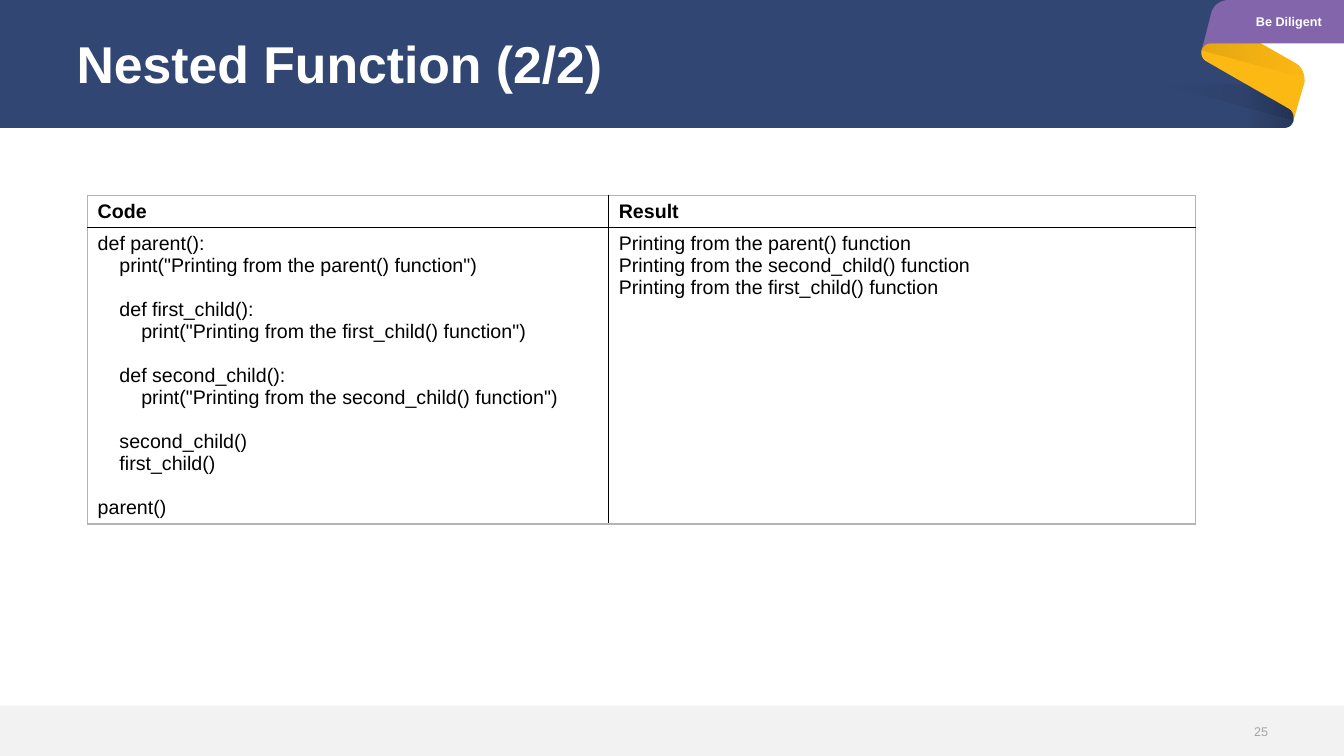
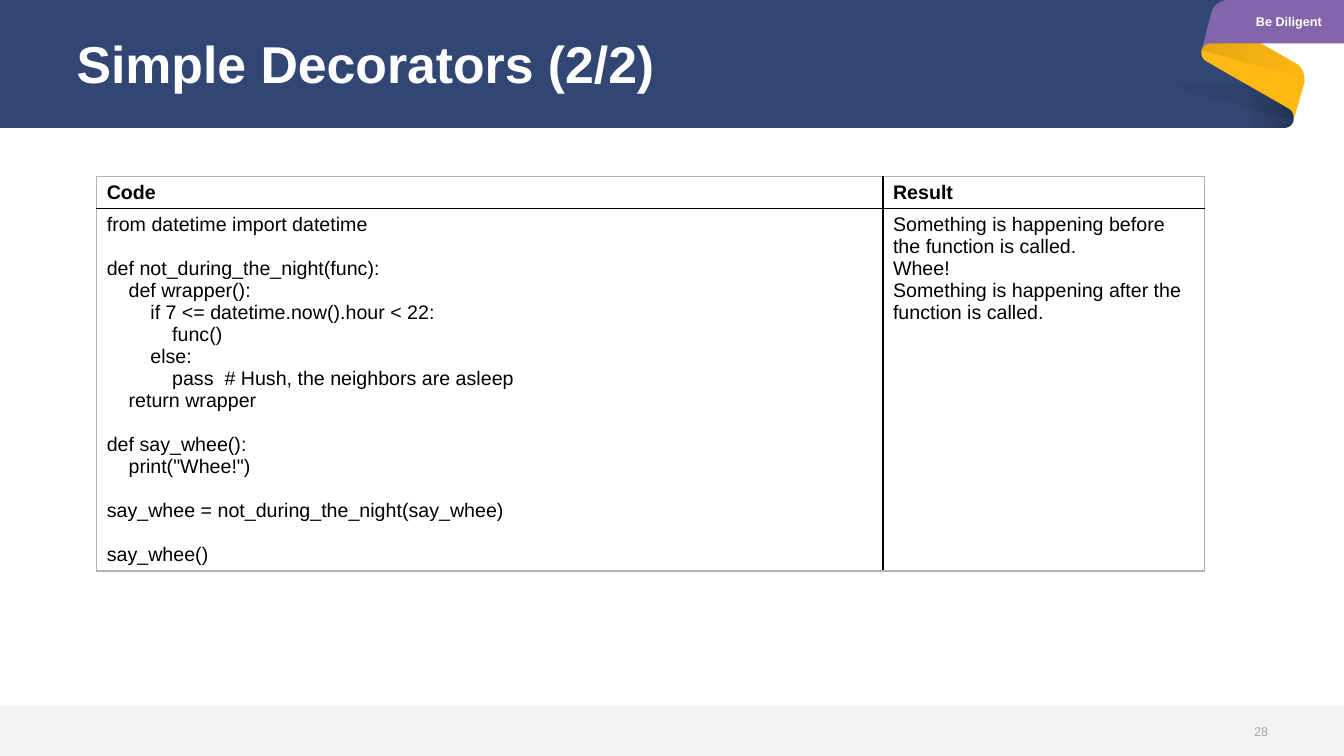
from dataclasses import dataclass
from typing import NamedTuple

from pptx import Presentation
from pptx.dml.color import RGBColor
from pptx.enum.shapes import MSO_SHAPE
from pptx.enum.text import MSO_ANCHOR, MSO_AUTO_SIZE, PP_ALIGN
from pptx.oxml.ns import qn
from pptx.oxml.xmlchemy import OxmlElement
from pptx.util import Pt

LEFT, CENTER, RIGHT = PP_ALIGN.LEFT, PP_ALIGN.CENTER, PP_ALIGN.RIGHT
TOP, MIDDLE = MSO_ANCHOR.TOP, MSO_ANCHOR.MIDDLE
RECTANGLE = MSO_SHAPE.RECTANGLE
NO_AUTOFIT = MSO_AUTO_SIZE.NONE
TITLE_ONLY = 5
CURVE_STEPS = 8


@dataclass(frozen=True)
class Theme:
    font: str = "Arial"
    navy: str = "314672"
    gold: str = "FCB813"
    purple: str = "8365AB"
    footer: str = "F2F2F2"
    white: str = "FFFFFF"
    black: str = "000000"
    number: str = "A5A5A5"
    frame: str = "B3B3B3"
    title_size: float = 37
    code_size: float = 14
    small_size: float = 9
    code_line: float = 15.7
    space_width: float = 3.89
    border: float = 1


THEME = Theme()


class Box(NamedTuple):
    left: float
    top: float
    width: float
    height: float

    def lengths(self) -> list:
        return [Pt(value) for value in self]


class Shade(NamedTuple):
    alpha: int
    angle: int


@dataclass(frozen=True)
class Outline:
    points: list
    fill: str | Shade


@dataclass(frozen=True)
class CodeSlide:
    title: str
    number: str
    left: float
    top: float
    columns: tuple
    body_height: float
    code: str
    result: str


SLIDE_WIDTH, SLIDE_HEIGHT = 960, 540
TITLE_BOX = Box(54.7, 4.3, 850.3, 86.4)
FOOTER_BOX = Box(0, 504, SLIDE_WIDTH, 36)
TAG_BOX = Box(863.3, 0, 96.7, 31)
NUMBER_BOX = Box(860.4, 513.4, 45.4, 18.7)
HEADER_HEIGHT = 23.04

FOLD_SIDE = (923.8, 79.9, 924.5, 82.8, 923.8, 86.4)
FOLD_SIDE_UP = (924.5, 82.8, 923.8, 79.9, 920.9, 77.8)
GOLD_SHOULDER = (931.7, 51.8, 929.5, 47.5, 925.9, 45.4)

RIBBON = [
    Outline([(0, 0), (895, 0), (895, 51.8), (920.9, 77.8), FOLD_SIDE,
             (923, 89.3, 920.9, 91.4, 917.3, 91.4), (0, 91.4)], THEME.navy),
    Outline([(861.8, 43.9), (920.9, 77.8), FOLD_SIDE, (931.7, 59),
             (932, 58, 932, 57, 931.7, 56.2), GOLD_SHOULDER,
             (895.7, 28.1), (865.4, 29.5), (861.8, 29.5, 859, 33.1, 858.2, 36),
             (857.5, 38.9, 859, 42.5, 861.8, 43.9)], THEME.gold),
    Outline([(858.2, 36), (859, 33.1, 861.8, 31, 865.4, 31), (960, 31), (960, 0),
             (877.7, 0), (871.9, 0, 866.9, 3.6, 865.4, 8.6), (859.7, 31)], THEME.purple),
    Outline([(890.6, 60.5), (890.6, 91.4), (917.3, 91.4),
             (920.9, 91.4, 923, 89.3, 923.8, 86.4), FOLD_SIDE_UP], Shade(20, 180)),
    Outline([(829.4, 60.5), (923.8, 86.4), FOLD_SIDE_UP, (890.6, 60.5)], Shade(10, 180)),
    Outline([(858.2, 36), (931.7, 55.4), GOLD_SHOULDER, (900, 31), (865.4, 31),
             (861.8, 31, 859, 33.1, 858.2, 36)], Shade(10, 0)),
]

CODE_SLIDES = [
    CodeSlide(
        "Nested Function (2/2)", "25", 62.6, 139.7, (372.2, 419), 211,
        '''def parent():
    print("Printing from the parent() function")

    def first_child():
        print("Printing from the first_child() function")

    def second_child():
        print("Printing from the second_child() function")

    second_child()
    first_child()

parent()''',
        '''Printing from the parent() function
Printing from the second_child() function
Printing from the first_child() function'''),
    CodeSlide(
        "Simple Decorators (2/2)", "28", 69.1, 126, (561.6, 229.7), 257.5,
        '''from datetime import datetime

def not_during_the_night(func):
    def wrapper():
        if 7 <= datetime.now().hour < 22:
            func()
        else:
            pass  # Hush, the neighbors are asleep
    return wrapper

def say_whee():
    print("Whee!")

say_whee = not_during_the_night(say_whee)

say_whee()''',
        '''Something is happening before the function is called.
Whee!
Something is happening after the function is called.'''),
]


def write_text(frame, text: str, *, size: float, color: str, bold: bool = False,
               alignment=LEFT, line_spacing: float = 1.0) -> None:
    paragraph, gap = None, 0
    for line in text.split("\n"):
        content = line.lstrip()
        if not content:
            gap += THEME.code_line
            continue
        paragraph = frame.add_paragraph() if paragraph is not None else frame.paragraphs[0]
        paragraph.alignment = alignment
        paragraph.line_spacing = line_spacing
        paragraph.space_before = Pt(gap)
        indent = (len(line) - len(content)) * THEME.space_width
        if indent:
            paragraph._p.get_or_add_pPr().set("marL", str(Pt(indent)))
        run = paragraph.add_run()
        run.text = content
        run.font.name = THEME.font
        run.font.size = Pt(size)
        run.font.bold = bold
        run.font.color.rgb = RGBColor.from_string(color)
        gap = 0


def prepare_frame(frame, left_margin: float = 0) -> None:
    frame.word_wrap = True
    frame.auto_size = NO_AUTOFIT
    frame.vertical_anchor = MIDDLE
    frame.margin_left = Pt(left_margin)
    frame.margin_right = frame.margin_top = frame.margin_bottom = Pt(0)


def add_label(slide, box: Box, text: str, *, left_margin: float = 0, **text_format):
    shape = slide.shapes.add_textbox(*box.lengths())
    prepare_frame(shape.text_frame, left_margin)
    write_text(shape.text_frame, text, size=THEME.small_size, **text_format)
    return shape


def paint(shape, fill: str | Shade) -> None:
    shape.shadow.inherit = False
    shape.line.fill.background()
    if isinstance(fill, str):
        shape.fill.solid()
        shape.fill.fore_color.rgb = RGBColor.from_string(fill)
        return
    shape.fill.gradient()
    shape.fill.gradient_angle = fill.angle
    for stop, position in zip(shape.fill.gradient_stops, (0, 1)):
        stop.color.rgb = RGBColor.from_string(THEME.black)
        stop.position = position
    for color, opacity in zip(shape.element.iter(qn("a:srgbClr")), (fill.alpha, 0)):
        alpha = OxmlElement("a:alpha")
        alpha.set("val", str(opacity * 1000))
        color.append(alpha)


def flatten(points: list) -> list:
    vertices = [points[0]]
    for point in points[1:]:
        if len(point) == 2:
            vertices.append(point)
            continue
        start, first, second, end = vertices[-1], point[:2], point[2:4], point[4:]
        for step in range(1, CURVE_STEPS + 1):
            t = step / CURVE_STEPS
            u = 1 - t
            vertices.append(tuple(
                u ** 3 * a + 3 * u * u * t * b + 3 * u * t * t * c + t ** 3 * d
                for a, b, c, d in zip(start, first, second, end)))
    return vertices


def add_outline(slide, outline: Outline):
    vertices = [(Pt(x), Pt(y)) for x, y in flatten(outline.points)]
    builder = slide.shapes.build_freeform(*vertices[0])
    builder.add_line_segments(vertices[1:], close=True)
    shape = builder.convert_to_shape()
    paint(shape, outline.fill)
    return shape


def prepare_layout(layout) -> None:
    for placeholder in list(layout.placeholders):
        if placeholder.placeholder_format.idx:
            layout.shapes.element.remove(placeholder.element)
    title = layout.placeholders[0]
    title.left, title.top, title.width, title.height = TITLE_BOX.lengths()


def decorate_layout(layout, slide) -> None:
    shapes = [add_outline(slide, outline) for outline in RIBBON]
    footer = slide.shapes.add_shape(RECTANGLE, *FOOTER_BOX.lengths())
    paint(footer, THEME.footer)
    tag = add_label(slide, TAG_BOX, "Be Diligent", left_margin=18,
                    color=THEME.white, bold=True, alignment=CENTER)
    for shape in [*shapes, footer, tag]:
        layout.shapes.element.append(shape.element)


def set_borders(cell, colors: dict) -> None:
    properties = cell._tc.get_or_add_tcPr()
    for side, color in colors.items():
        line = OxmlElement(f"a:ln{side}")
        line.set("w", str(Pt(THEME.border)))
        fill = OxmlElement("a:solidFill")
        value = OxmlElement("a:srgbClr")
        value.set("val", color)
        fill.append(value)
        line.append(fill)
        properties.append(line)


def add_code_table(slide, content: CodeSlide) -> None:
    heights = (HEADER_HEIGHT, content.body_height)
    box = Box(content.left, content.top, sum(content.columns), sum(heights))
    table = slide.shapes.add_table(2, 2, *box.lengths()).table
    table.first_row = table.horz_banding = False
    for column, width in zip(table.columns, content.columns):
        column.width = Pt(width)
    rows = (("Code", "Result"), (content.code, content.result))
    for row_index, (texts, height) in enumerate(zip(rows, heights)):
        table.rows[row_index].height = Pt(height)
        for column_index, text in enumerate(texts):
            cell = table.cell(row_index, column_index)
            inner = {"L": column_index == 1, "R": column_index == 0,
                     "T": row_index == 1, "B": row_index == 0}
            set_borders(cell, {side: THEME.black if is_inner else THEME.frame
                               for side, is_inner in inner.items()})
            cell.fill.background()
            cell.vertical_anchor = TOP
            write_text(cell.text_frame, text, size=THEME.code_size,
                       color=THEME.black, bold=row_index == 0)


def add_code_slide(presentation, layout, content: CodeSlide):
    slide = presentation.slides.add_slide(layout)
    frame = slide.shapes.title.text_frame
    prepare_frame(frame)
    write_text(frame, content.title, size=THEME.title_size, color=THEME.white,
               bold=True, line_spacing=0.9)
    add_label(slide, NUMBER_BOX, content.number, color=THEME.number, alignment=RIGHT)
    add_code_table(slide, content)
    return slide


def main() -> None:
    presentation = Presentation()
    presentation.slide_width = Pt(SLIDE_WIDTH)
    presentation.slide_height = Pt(SLIDE_HEIGHT)
    layout = presentation.slide_layouts[TITLE_ONLY]
    prepare_layout(layout)
    slides = [add_code_slide(presentation, layout, content) for content in CODE_SLIDES]
    decorate_layout(layout, slides[0])
    presentation.save("out.pptx")


main()
